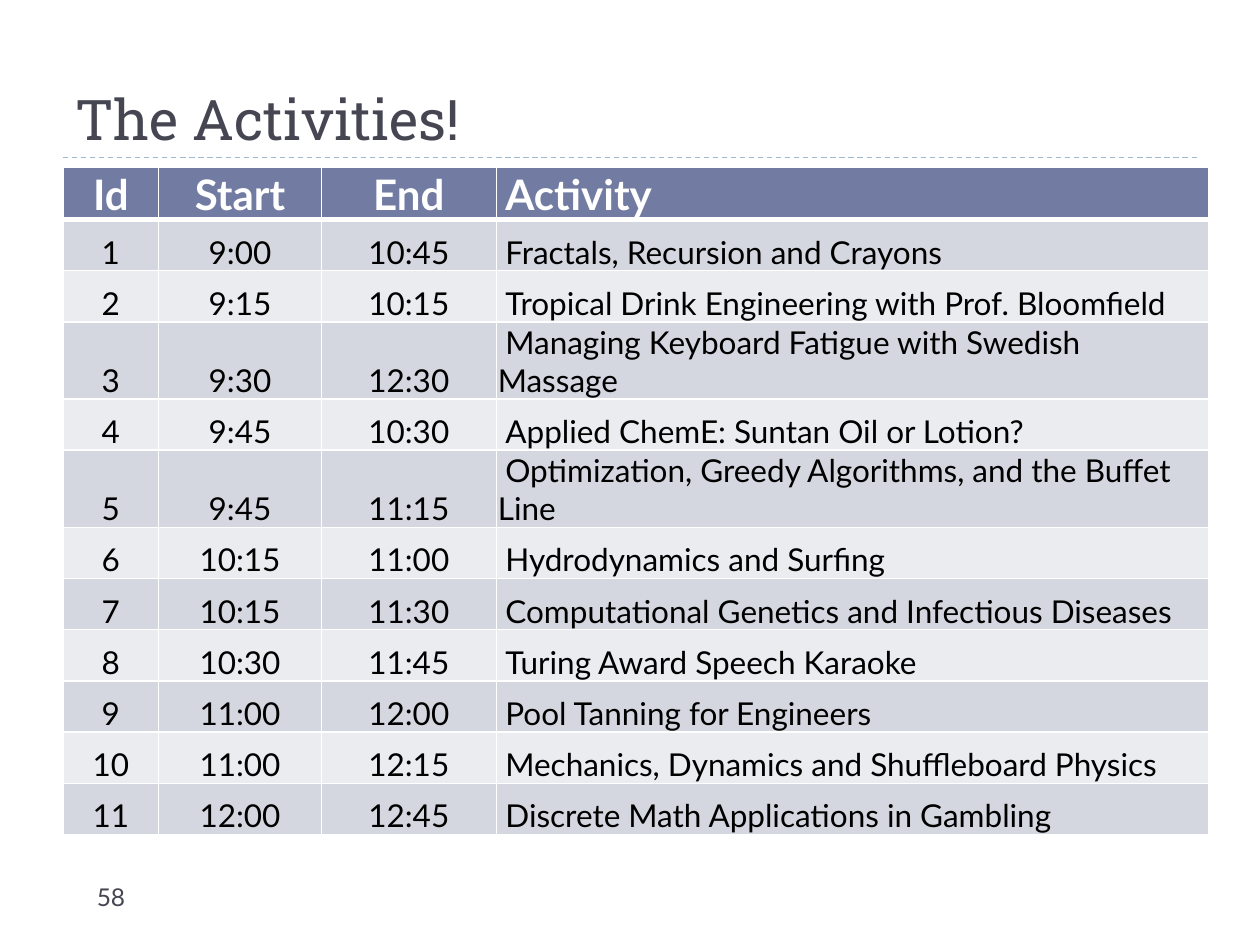
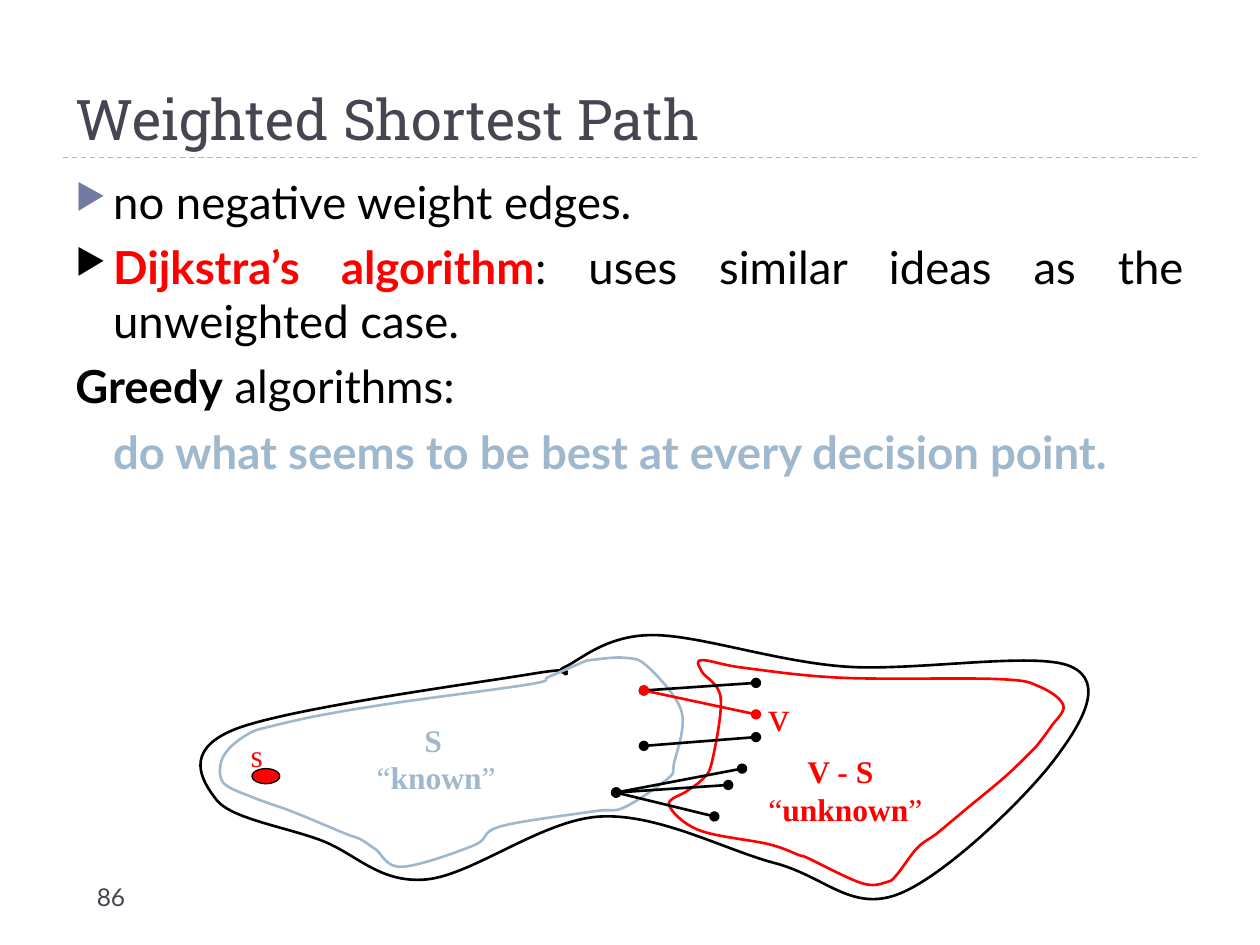
from lxml.etree import SubElement
from pptx import Presentation
from pptx.dml.color import RGBColor
from pptx.enum.dml import MSO_LINE
from pptx.enum.shapes import MSO_CONNECTOR, MSO_SHAPE
from pptx.enum.text import MSO_ANCHOR, MSO_AUTO_SIZE, PP_ALIGN
from pptx.oxml.ns import qn
from pptx.util import Cm, Pt

INK, BLACK, WHITE, RED = "464653", "000000", "FFFFFF", "FF0000"
ACCENT, PALE = "727CA3", "9FB8CD"
BANDS = ("D5D7E0", "EBECF0")
HEADING, BODY, LABEL = "Roboto Slab", "Lato", "Times New Roman"

COLUMNS = [
    ("Id", 0.76, PP_ALIGN.CENTER, 0),
    ("Start", 1.29, PP_ALIGN.CENTER, 0),
    ("End", 1.39, PP_ALIGN.CENTER, 0),
    ("Activity", 5.65, PP_ALIGN.LEFT, 0.06),
]
ACTIVITIES = [
    ("9:00", "10:45", "Fractals, Recursion and Crayons"),
    ("9:15", "10:15", "Tropical Drink Engineering with Prof. Bloomfield"),
    ("9:30", "12:30", "Managing Keyboard Fatigue with Swedish Massage"),
    ("9:45", "10:30", "Applied ChemE: Suntan Oil or Lotion?"),
    ("9:45", "11:15", "Optimization, Greedy Algorithms, and the Buffet Line"),
    ("10:15", "11:00", "Hydrodynamics and Surfing"),
    ("10:15", "11:30", "Computational Genetics and Infectious Diseases"),
    ("10:30", "11:45", "Turing Award Speech Karaoke"),
    ("11:00", "12:00", "Pool Tanning for Engineers"),
    ("11:00", "12:15", "Mechanics, Dynamics and Shuffleboard Physics"),
    ("12:00", "12:45", "Discrete Math Applications in Gambling"),
]

POINTS = [
    (ACCENT, -0.3, [("no negative weight edges.", BLACK, False)]),
    (BLACK, -0.3, [("Dijkstra’s algorithm", RED, True),
                   (": uses similar ideas as the unweighted case.", BLACK, False)]),
    (None, -0.3, [("Greedy", BLACK, True), (" algorithms:", BLACK, False)]),
    (None, 0, [("do what seems to be best at every decision point.", PALE, True)]),
]

WHOLE_GRAPH = [
    (4.49, 5.35), (4.21, 5.35), (1.86, 5.79), (1.72, 6.35), (2.55, 6.67),
    (3.38, 6.98), (4.77, 6.48), (6.15, 6.85), (7.12, 7.1), (8.36, 6.04),
    (8.5, 5.29), (6.7, 5.29), (5.18, 5.04), (4.49, 5.29),
]
KNOWN_SET = [
    (4.64, 5.25), (4.36, 5.37), (4.21, 5.43), (3.13, 5.58), (2.53, 5.68),
    (2.13, 5.77), (1.98, 5.82), (1.82, 5.94), (1.75, 6.07), (1.78, 6.22),
    (2.01, 6.33), (2.29, 6.43), (2.44, 6.49), (2.75, 6.62), (2.86, 6.66),
    (2.98, 6.74), (3.19, 6.88), (3.76, 6.71), (3.97, 6.56), (4.71, 6.44),
    (4.95, 6.41), (5.3, 6.18), (5.35, 6.06), (5.41, 5.65), (5.14, 5.29),
    (4.95, 5.22), (4.68, 5.24),
]
UNKNOWN_SET = [
    (8.44, 5.6), (8.25, 5.45), (7.92, 5.39), (6.69, 5.38), (5.9, 5.3),
    (5.57, 5.24), (5.57, 5.33), (5.72, 5.54), (5.65, 6.05), (5.57, 6.19),
    (5.45, 6.28), (5.31, 6.39), (5.55, 6.59), (6.1, 6.7), (6.35, 6.79),
    (6.41, 6.81), (6.84, 7.01), (7.04, 7), (7.12, 6.94), (7.28, 6.73),
    (7.43, 6.62), (7.55, 6.52), (7.67, 6.42), (7.96, 6.18), (8.14, 6.01),
    (8.22, 5.93), (8.34, 5.77),
]
REGIONS = [(WHOLE_GRAPH, BLACK), (KNOWN_SET, PALE), (UNKNOWN_SET, RED)]
REGION_LABELS = [
    ((2.89, 5.67, 1.25, 0.77), PALE, 0.38, "S", "known"),
    ((6, 5.92, 2.09, 0.77), RED, 0.31, "V - S", "unknown"),
]
VERTEX_LABELS = [
    ("s", 18, (1.89, 5.79, 0.31, 0.43)),
    ("v", 24, (6, 5.42, 0.37, 0.5)),
]
EDGES_FROM = {
    (5.11, 5.48): [((6, 5.42), BLACK), ((6, 5.67), RED)],
    (5.11, 5.92): [((6, 5.85), BLACK)],
    (4.89, 6.29): [((5.67, 6.48), BLACK), ((5.78, 6.23), BLACK), ((5.89, 6.1), BLACK)],
}


def inches(*values):
    return [Cm(value * 2.54) for value in values]


def color(value):
    return RGBColor.from_string(value)


def paint(shape, fill, outline, width):
    shape.shadow.inherit = False
    if fill:
        shape.fill.solid()
        shape.fill.fore_color.rgb = color(fill)
    else:
        shape.fill.background()
    shape.line.color.rgb, shape.line.width = color(outline), Pt(width)


def write(paragraph, runs, font, size, align=PP_ALIGN.LEFT, margin=0, indent=0):
    paragraph.alignment = align
    properties = paragraph._p.get_or_add_pPr()
    for name, length in zip(("marL", "indent"), inches(margin, indent)):
        properties.set(name, str(length))
    for text, ink, bold in runs:
        run = paragraph.add_run()
        run.text = text
        run.font.name, run.font.size, run.font.bold = font, Pt(size), bold
        run.font.color.rgb = color(ink)


def add_text(slide, box, anchor=MSO_ANCHOR.TOP, wrap=True, grow=False):
    frame = slide.shapes.add_textbox(*inches(*box)).text_frame
    frame.word_wrap, frame.vertical_anchor = wrap, anchor
    frame.auto_size = MSO_AUTO_SIZE.SHAPE_TO_FIT_TEXT if grow else MSO_AUTO_SIZE.NONE
    return frame


def add_line(slide, start, end, ink, width):
    line = slide.shapes.add_connector(MSO_CONNECTOR.STRAIGHT, *inches(*start, *end))
    line.line.color.rgb, line.line.width = color(ink), Pt(width)
    SubElement(line._element.spPr, qn("a:effectLst"))
    return line


def add_slide(title, number):
    slide = deck.slides.add_slide(deck.slide_layouts[6])
    add_line(slide, (0.5, 1.25), (9.5, 1.25), PALE, 0.75).line.dash_style = MSO_LINE.DASH
    heading = add_text(slide, (0.5, 0.17, 9, 1.08), MSO_ANCHOR.BOTTOM)
    write(heading.paragraphs[0], [(title, INK, False)], HEADING, 32)
    footer = add_text(slide, (0.67, 6.95, 2.17, 0.4))
    write(footer.paragraphs[0], [(number, INK, False)], BODY, 14)
    return slide


def add_borders(cell, bottom):
    properties = cell._tc.get_or_add_tcPr()
    widths = {"a:lnL": 1, "a:lnR": 1, "a:lnT": 1, "a:lnB": bottom}
    for place, (side, width) in enumerate(widths.items()):
        border = SubElement(properties, qn(side), w=str(Pt(width)))
        SubElement(SubElement(border, qn("a:solidFill")), qn("a:srgbClr"), val=WHITE)
        properties.insert(place, border)


def fill_row(cells, texts, fill, ink, size, bold, bottom):
    for cell, text, (_, _, align, indent) in zip(cells, texts, COLUMNS):
        cell.vertical_anchor = MSO_ANCHOR.BOTTOM
        cell.margin_left = cell.margin_right = cell.margin_top = Cm(0.03)
        cell.margin_bottom = 0
        cell.fill.solid()
        cell.fill.fore_color.rgb = color(fill)
        write(cell.text_frame.paragraphs[0], [(text, ink, bold)], BODY, size,
              align, indent=indent)
        add_borders(cell, bottom)


def add_activities(slide):
    table = slide.shapes.add_table(len(ACTIVITIES) + 1, len(COLUMNS),
                                   *inches(0.5, 1.33, 9.08, 4.88)).table
    names, widths, _, _ = zip(*COLUMNS)
    for column, width in zip(table.columns, inches(*widths)):
        column.width = width
    fill_row(table.rows[0].cells, names, ACCENT, WHITE, 24, True, bottom=3)
    for number, activity in enumerate(ACTIVITIES, start=1):
        band = BANDS[(number - 1) % len(BANDS)]
        fill_row(table.rows[number].cells, (str(number), *activity), band, BLACK, 18,
                 False, bottom=1)


def add_points(slide):
    frame = add_text(slide, (0.5, 1.33, 9, 5.4))
    for i, (bullet, indent, runs) in enumerate(POINTS):
        paragraph = frame.add_paragraph() if i else frame.paragraphs[0]
        paragraph.space_before = Pt(6)
        write(paragraph, runs, BODY, 26, PP_ALIGN.JUSTIFY, 0.3, indent)
        if bullet:
            properties = paragraph._p.get_or_add_pPr()
            SubElement(SubElement(properties, qn("a:buClr")), qn("a:srgbClr"), val=bullet)
            SubElement(properties, qn("a:buSzPct"), val="76000")
            SubElement(properties, qn("a:buChar"), char="▶")


def smooth_curves(nodes):
    def handle(i, direction):
        before, after = nodes[i - 1], nodes[(i + 1) % len(nodes)]
        return tuple(here + direction * (b - a) / 6
                     for here, a, b in zip(nodes[i], before, after))

    following = [*range(1, len(nodes)), 0]
    return [(handle(i, 1), handle(j, -1), nodes[j]) for i, j in enumerate(following)]


def add_region(slide, nodes, ink):
    units = 1000
    vertices = [(x * units, y * units) for curve in smooth_curves(nodes) for x, y in curve]
    builder = slide.shapes.build_freeform(*vertices[-1], scale=inches(1)[0] / units)
    builder.add_line_segments(vertices, close=True)
    region = builder.convert_to_shape()
    paint(region, None, ink, 1.5)
    segments = list(region._element.iter(qn("a:lnTo")))
    for first, second, last in zip(segments[::3], segments[1::3], segments[2::3]):
        first.tag = qn("a:cubicBezTo")
        for segment in (second, last):
            first.append(segment[0])
            segment.getparent().remove(segment)


def add_diagram(slide):
    for nodes, ink in REGIONS:
        add_region(slide, nodes, ink)
    for box, ink, indent, name, meaning in REGION_LABELS:
        frame = add_text(slide, box, grow=True)
        write(frame.paragraphs[0], [(name, ink, True)], LABEL, 18, indent=indent)
        write(frame.add_paragraph(),
              [("“", ink, False), (meaning, ink, True), ("”", ink, False)], LABEL, 18)
    source = slide.shapes.add_shape(MSO_SHAPE.OVAL, *inches(2, 6.1, 0.22, 0.12))
    paint(source, RED, BLACK, 0.75)
    for start, targets in EDGES_FROM.items():
        for end, ink in targets:
            edge = add_line(slide, start, end, ink, 1.5)
            for tip in ("a:headEnd", "a:tailEnd"):
                SubElement(edge._element.spPr.find(qn("a:ln")), qn(tip), type="oval")
    for name, size, box in VERTEX_LABELS:
        frame = add_text(slide, box, wrap=False, grow=True)
        write(frame.paragraphs[0], [(name, RED, False)], LABEL, size)


deck = Presentation()
deck.slide_width, deck.slide_height = inches(10, 7.5)
add_activities(add_slide("The Activities!", "58"))
shortest_route = add_slide("Weighted Shortest Path", "86")
add_points(shortest_route)
add_diagram(shortest_route)
deck.save("out.pptx")
